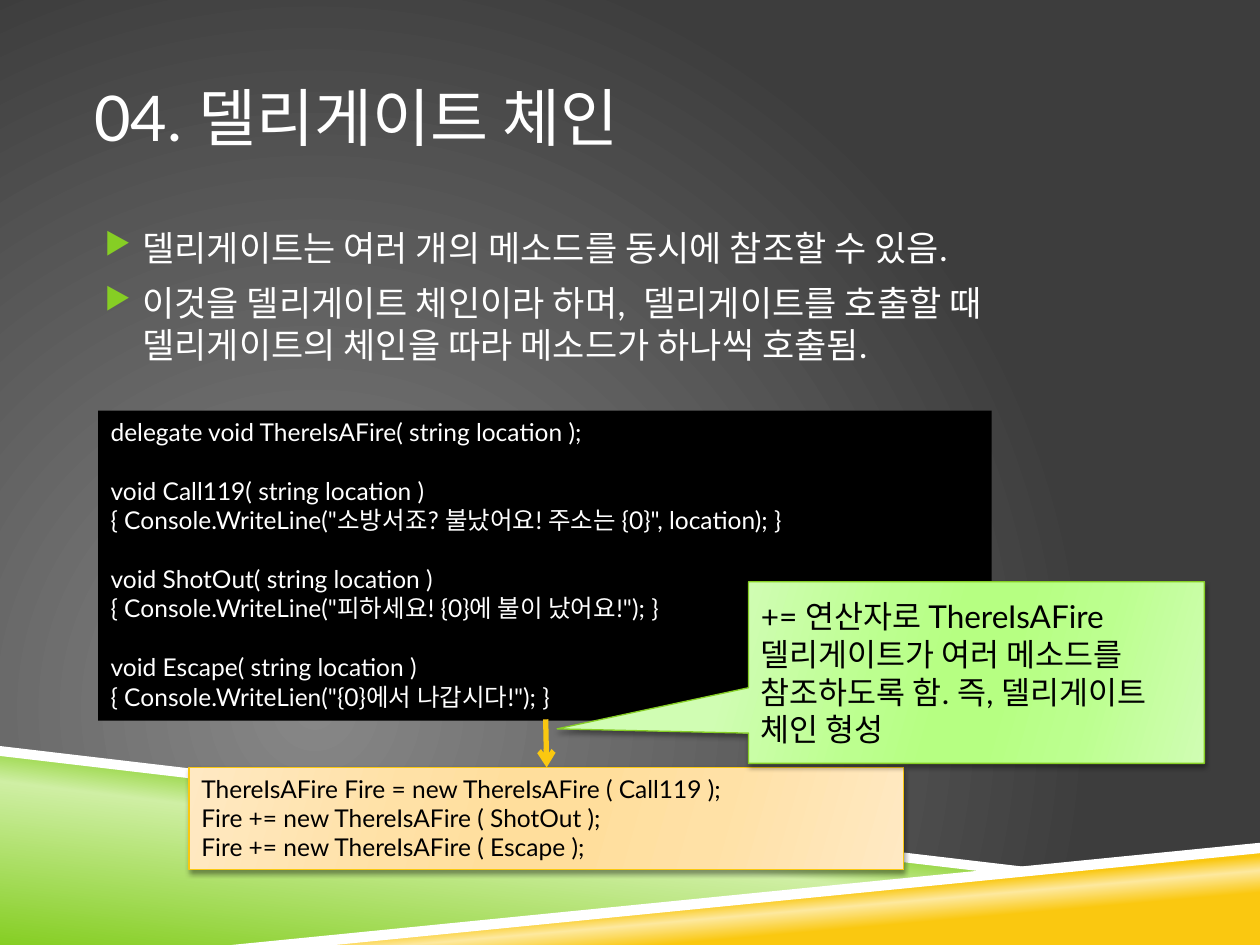
from lxml.etree import SubElement
from pptx import Presentation
from pptx.dml.color import RGBColor
from pptx.enum.shapes import MSO_CONNECTOR, MSO_SHAPE
from pptx.enum.text import MSO_ANCHOR, PP_ALIGN
from pptx.oxml.ns import qn
from pptx.util import Cm, Pt

FONT = "Lato"
COLORS = {
    "white": "FFFFFF", "black": "000000",
    "gray": "878787", "dark gray": "3D3D3D",
    "green": "86CE24", "pale green": "CFEFA4",
    "yellow": "FAC810", "pale yellow": "FDE99F",
    "cream edge": "FFE9C3", "cream": "FFE1A6", "cream core": "FFDE9C",
    "mint edge": "D0FDB3", "mint": "BCFF8F", "mint core": "B6FF82",
}

CODE_GROUPS = [
    ["delegate void ThereIsAFire( string location );"],
    ["void Call119( string location )",
     '{ Console.WriteLine("소방서죠? 불났어요! 주소는 {0}", location); }'],
    ["void ShotOut( string location )",
     '{ Console.WriteLine("피하세요! {0}에 불이 났어요!"); }'],
    ["void Escape( string location )",
     '{ Console.WriteLien("{0}에서 나갑시다!"); }'],
]
CHAIN_LINES = [
    "ThereIsAFire Fire = new ThereIsAFire ( Call119 );",
    "Fire += new ThereIsAFire ( ShotOut );",
    "Fire += new ThereIsAFire ( Escape );",
]
BULLETS = [
    "델리게이트는 여러 개의 메소드를 동시에 참조할 수 있음.",
    "이것을 델리게이트 체인이라 하며,  델리게이트를 호출할 때 "
    "델리게이트의 체인을 따라 메소드가 하나씩 호출됨.",
]
CALLOUT = ("+= 연산자로 ThereIsAFire 델리게이트가 여러 메소드를 "
           "참조하도록 함. 즉, 델리게이트 체인 형성")


def rgb(name):
    return RGBColor.from_string(COLORS[name])


def add_element(parent, tag, **attributes):
    element = SubElement(parent, qn(tag))
    for key, value in attributes.items():
        element.set(key, str(value))
    return element


def set_gradient(fill, properties, stops, angle=None):
    """Linear gradient at an angle, or a circular one without an angle."""
    fill.gradient()
    gradient = properties.find(qn("a:gradFill"))
    for child in list(gradient):
        gradient.remove(child)
    stop_list = add_element(gradient, "a:gsLst")
    for position, color in stops:
        stop = add_element(stop_list, "a:gs", pos=position * 1000)
        add_element(stop, "a:srgbClr", val=COLORS[color])
    if angle is None:
        circle = add_element(gradient, "a:path", path="circle")
        add_element(circle, "a:fillToRect", l=50000, t=100000, r=100000, b=50000)
    else:
        add_element(gradient, "a:lin", ang=angle * 60000, scaled=0)


def add_shadow(shape):
    effects = shape.element.spPr.find(qn("a:effectLst"))
    shadow = add_element(effects, "a:outerShdw", blurRad=Pt(3), dist=Pt(2),
                         dir=90 * 60000, rotWithShape=0)
    color = add_element(shadow, "a:srgbClr", val=COLORS["black"])
    add_element(color, "a:alpha", val=40000)


def add_polygon(slide, points, color=None, stops=None, angle=0):
    start, *others = [(Cm(x), Cm(y)) for x, y in points]
    builder = slide.shapes.build_freeform(*start)
    builder.add_line_segments(others)
    shape = builder.convert_to_shape()
    shape.shadow.inherit = False
    shape.line.fill.background()
    if stops:
        set_gradient(shape.fill, shape.element.spPr, stops, angle)
    else:
        shape.fill.solid()
        shape.fill.fore_color.rgb = rgb(color)


def write_lines(shape, lines, size, color, anchor=MSO_ANCHOR.TOP):
    frame = shape.text_frame
    frame.word_wrap = True
    frame.vertical_anchor = anchor
    frame.text = "\n".join(lines)
    for paragraph in frame.paragraphs:
        paragraph.alignment = PP_ALIGN.LEFT
        paragraph.font.name = FONT
        paragraph.font.size = Pt(size)
        paragraph.font.color.rgb = rgb(color)
    return frame


def add_text(slide, box, lines, size, anchor=MSO_ANCHOR.TOP):
    shape = slide.shapes.add_textbox(*map(Cm, box))
    frame = write_lines(shape, lines, size, "white", anchor)
    frame.margin_left = frame.margin_right = 0
    return frame


def add_bullets(frame):
    for paragraph in frame.paragraphs:
        paragraph.space_before = Pt(7)
        properties = paragraph._p.get_or_add_pPr()
        properties.set("marL", str(Cm(0.97)))
        properties.set("indent", str(Cm(-0.76)))
        # Bullet tags come before the default run properties
        default_font = properties.find(qn("a:defRPr"))
        properties.remove(default_font)
        color = add_element(properties, "a:buClr")
        add_element(color, "a:srgbClr", val=COLORS["green"])
        add_element(properties, "a:buSzPct", val=85000)
        add_element(properties, "a:buChar", char="▶")
        properties.append(default_font)


def add_box(slide, kind, box):
    shape = slide.shapes.add_shape(kind, *map(Cm, box))
    shape.shadow.inherit = False
    return shape


def add_glossy_box(slide, kind, box, tint, line_color):
    shape = add_box(slide, kind, box)
    edge, core = f"{tint} edge", f"{tint} core"
    stops = [(0, edge), (30, tint), (45, core), (55, core), (73, tint), (100, edge)]
    set_gradient(shape.fill, shape.element.spPr, stops, 16)
    shape.line.color.rgb = rgb(line_color)
    shape.line.width = Pt(0.75)
    add_shadow(shape)
    return shape


def add_arrow(slide, start, end):
    arrow = slide.shapes.add_connector(MSO_CONNECTOR.STRAIGHT, *map(Cm, start + end))
    arrow.line.color.rgb = rgb("yellow")
    arrow.line.width = Pt(3)
    add_element(arrow.line._get_or_add_ln(), "a:tailEnd", type="arrow")
    add_element(arrow.element.spPr, "a:effectLst")


def add_backdrop(slide):
    fill = slide.background.fill
    fill.solid()
    properties = slide.element.find(".//" + qn("p:bgPr"))
    set_gradient(fill, properties, [(0, "gray"), (100, "dark gray")])
    add_polygon(slide, [(0, 15.16), (20.12, 17.58), (5.08, 19.05), (0, 19.05)],
                stops=[(0, "green"), (52, "pale green"), (66, "green")], angle=277)
    add_polygon(slide, [(5.03, 19.05), (25.4, 17.07), (25.4, 19.05)],
                stops=[(28, "yellow"), (40, "pale yellow"), (48, "yellow")], angle=265)
    add_polygon(slide, [(0, 15.04), (0, 15.24), (20.07, 17.6), (21.13, 17.53)], "white")
    add_polygon(slide, [(25.4, 16.99), (4.67, 19.05), (6.76, 19.05), (25.4, 17.2)], "white")


def add_code(slide):
    shape = add_box(slide, MSO_SHAPE.RECTANGLE, (1.98, 8.28, 18.01, 6.25))
    shape.fill.solid()
    shape.fill.fore_color.rgb = rgb("black")
    shape.line.fill.background()
    lines = [line for group in CODE_GROUPS for line in group]
    frame = write_lines(shape, lines, 14, "white")
    # One line of space ahead of each later group
    group_starts = [group[0] for group in CODE_GROUPS[1:]]
    for paragraph in frame.paragraphs:
        if paragraph.text in group_starts:
            paragraph.space_before = Pt(16.8)


def main():
    presentation = Presentation()
    presentation.slide_width, presentation.slide_height = Cm(25.4), Cm(19.05)
    slide = presentation.slides.add_slide(presentation.slide_layouts[6])
    add_backdrop(slide)

    # Title and bullets
    add_text(slide, (1.9, 0.76, 21.59, 3.18), ["04. 델리게이트 체인"], 36, MSO_ANCHOR.MIDDLE)
    add_bullets(add_text(slide, (1.9, 4.45, 21.59, 11.28), BULLETS, 20))

    # Code and the chain built from it
    add_code(slide)
    chain = add_glossy_box(slide, MSO_SHAPE.RECTANGLE, (3.81, 15.47, 14.4, 2.06),
                           "cream", "yellow")
    write_lines(chain, CHAIN_LINES, 14, "black")
    add_arrow(slide, (11, 14.5), (11.02, 15.47))

    # Explanation
    callout = add_glossy_box(slide, MSO_SHAPE.RECTANGULAR_CALLOUT,
                             (15.09, 11.73, 9.19, 3.66), "mint", "green")
    callout.adjustments[0], callout.adjustments[1] = -0.92, 0.31
    write_lines(callout, [CALLOUT], 18, "black", MSO_ANCHOR.MIDDLE)

    presentation.save("out.pptx")


main()
